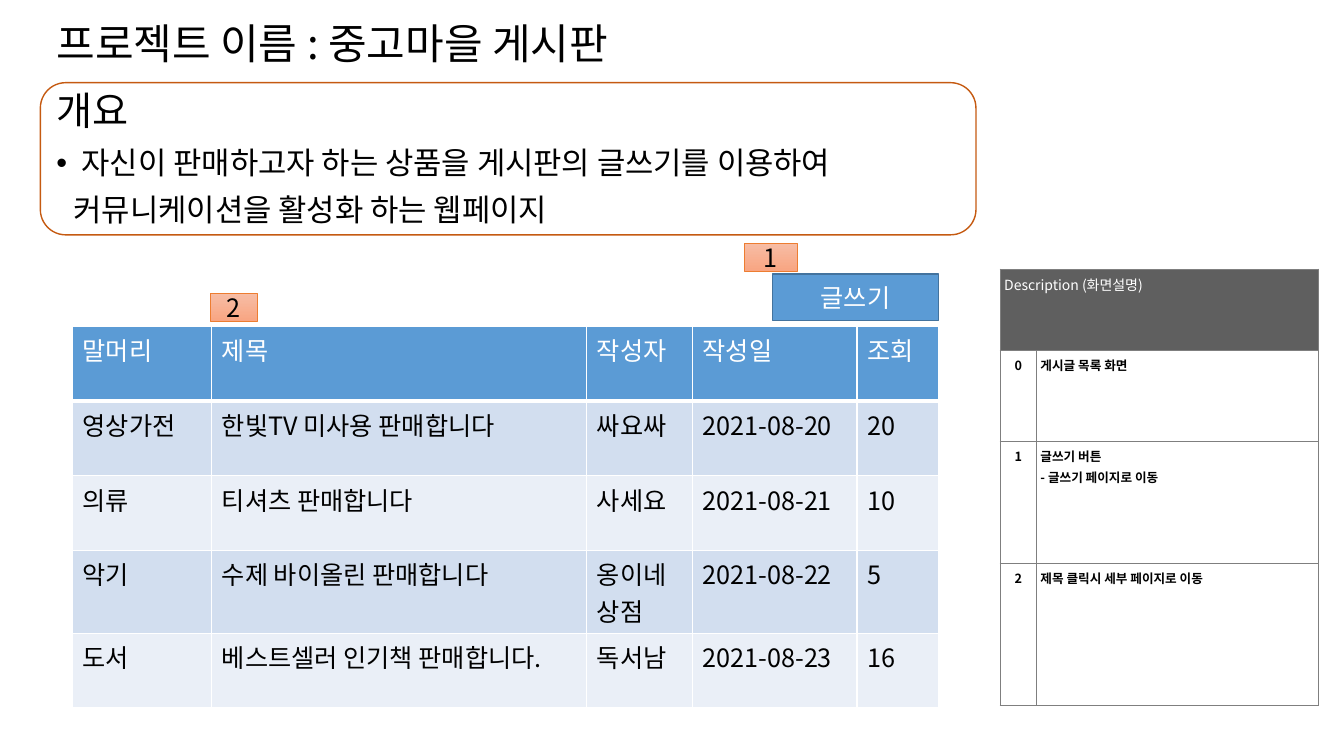
from pptx import Presentation
from pptx import util as u
from pptx.dml.color import RGBColor
from pptx.enum import shapes, text
from pptx.oxml import ns
from lxml import etree

COLORS = {
    "black": "000000", "white": "FFFFFF", "outline": "C55A11",
    "blue": "5B9BD5", "blue_line": "43739E",
    "band_dark": "D2DEEF", "band_light": "EAEFF7",
    "badge_top": "F7BDA5", "badge_bottom": "F8A582", "badge_line": "ED7D31",
    "gray": "5F5F5F", "gray_line": "7F7F7F",
}
LEFT, CENTER = text.PP_ALIGN.LEFT, text.PP_ALIGN.CENTER


def color(name):
    return RGBColor.from_string(COLORS[name])


class SlideBuilder:
    """Holds the style and the current slide."""

    font_name = "Noto Sans CJK KR"

    def __init__(self, page):
        self.page = page

    def style(self, para, size, ink="black", align=LEFT, bold=False):
        para.alignment = align
        para.font.name = self.font_name
        para.font.size = u.Pt(size)
        para.font.bold = bold
        para.font.color.rgb = color(ink)
        # Hangul uses the East Asian typeface
        props = para._p.pPr.find(ns.qn("a:defRPr"))
        latin = props.find(ns.qn("a:latin"))
        east = etree.Element(ns.qn("a:ea"), typeface=self.font_name)
        latin.addnext(east)

    def bullet(self, para, indent=0, hanging=0, mark=None):
        props = para._p.get_or_add_pPr()
        props.set("marL", str(u.Inches(indent)))
        props.set("indent", str(-u.Inches(hanging)))
        tag = "a:buChar" if mark else "a:buNone"
        item = etree.Element(ns.qn(tag))
        if mark:
            item.set("char", mark)
        props.find(ns.qn("a:defRPr")).addprevious(item)

    def placeholder(self, index, left, top, width, height):
        box = self.page.placeholders[index]
        box.left, box.top = u.Inches(left), u.Inches(top)
        box.width, box.height = u.Inches(width), u.Inches(height)
        box.text_frame.auto_size = text.MSO_AUTO_SIZE.NONE
        box.text_frame.vertical_anchor = text.MSO_ANCHOR.TOP
        return box.text_frame

    def title(self, words, *place):
        para = self.placeholder(0, *place).paragraphs[0]
        para.text = words
        para.line_spacing = 0.9
        self.style(para, 30)

    def body(self, lines, *place):
        frame = self.placeholder(1, *place)
        frame.text = "\n".join(words for words, _, _ in lines)
        for para, (_, size, bullet) in zip(frame.paragraphs, lines):
            para.line_spacing, para.space_before = 0.9, u.Pt(10)
            self.style(para, size)
            self.bullet(para, **bullet)

    def shape(self, kind, left, top, width, height, line, weight=1):
        box = self.page.shapes.add_shape(
            kind, u.Inches(left), u.Inches(top), u.Inches(width), u.Inches(height))
        box.shadow.inherit = False
        box.fill.background()
        box.line.color.rgb = color(line)
        box.line.width = u.Pt(weight)
        return box

    def label(self, box, words, ink):
        frame = box.text_frame
        frame.text = words
        frame.vertical_anchor = text.MSO_ANCHOR.MIDDLE
        self.style(frame.paragraphs[0], 18, ink, CENTER)

    def button(self, words, *place):
        box = self.shape(shapes.MSO_SHAPE.RECTANGLE, *place, "blue_line")
        box.fill.solid()
        box.fill.fore_color.rgb = color("blue")
        self.label(box, words, "white")

    def badge(self, words, *place):
        box = self.shape(shapes.MSO_SHAPE.RECTANGLE, *place, "badge_line", 0.5)
        box.fill.gradient()
        box.fill.gradient_angle = 270
        for stop, name in zip(box.fill.gradient_stops, ("badge_top", "badge_bottom")):
            stop.color.rgb = color(name)
        self.label(box, words, "black")

    def table(self, left, top, widths, heights):
        grid = self.page.shapes.add_table(
            len(heights), len(widths), u.Inches(left), u.Inches(top),
            u.Inches(sum(widths)), u.Inches(sum(heights))).table
        grid.first_row = grid.horz_banding = False
        for column, width in zip(grid.columns, widths):
            column.width = u.Inches(width)
        for row, height in zip(grid.rows, heights):
            row.height = u.Inches(height)
        return grid

    def cell(self, cell, words, size, ink, fill, border, align=LEFT, bold=False, **weights):
        cell.text = words
        for number, para in enumerate(cell.text_frame.paragraphs):
            self.style(para, size, ink, align, bold)
            para.space_before = u.Pt(2 if number else 0)
        props = cell._tc.get_or_add_tcPr()
        for side in "LRTB":
            width = u.Pt(weights.get(side, 1))
            line = etree.SubElement(props, ns.qn("a:ln" + side), w=str(width))
            solid = etree.SubElement(line, ns.qn("a:solidFill"))
            etree.SubElement(solid, ns.qn("a:srgbClr"), val=COLORS[border])
        cell.fill.solid()
        cell.fill.fore_color.rgb = color(fill)


deck = Presentation()
deck.slide_width, deck.slide_height = u.Inches(13.33), u.Inches(7.5)
slide = SlideBuilder(deck.slides.add_slide(deck.slide_layouts[1]))

# Project title and overview
slide.shape(shapes.MSO_SHAPE.ROUNDED_RECTANGLE, 0.4, 0.82, 9.28, 1.51, "outline")
slide.title("프로젝트 이름 : 중고마을 게시판", 0.46, 0.18, 11.5, 1.45)
slide.body([
    ("개요", 28, {}),
    ("자신이 판매하고자 하는 상품을 게시판의 글쓰기를 이용하여", 22,
     {"indent": 0.25, "hanging": 0.25, "mark": "•"}),
    ("커뮤니케이션을 활성화 하는 웹페이지", 22, {"indent": 0.17}),
], 0.46, 0.86, 11.5, 4.76)

# Write button and numbered markers
slide.button("글쓰기", 7.66, 2.72, 1.65, 0.46)
slide.badge("1", 7.38, 2.41, 0.53, 0.28)
slide.badge("2", 2.09, 2.91, 0.46, 0.28)

# Post list
posts = [
    ("말머리", "제목", "작성자", "작성일", "조회"),
    ("영상가전", "한빛TV 미사용 판매합니다", "싸요싸", "2021-08-20", "20"),
    ("의류", "티셔츠 판매합니다", "사세요", "2021-08-21", "10"),
    ("악기", "수제 바이올린 판매합니다", "옹이네 상점", "2021-08-22", "5"),
    ("도서", "베스트셀러 인기책 판매합니다.", "독서남", "2021-08-23", "16"),
]
post_list = slide.table(0.72, 3.24, [1.38, 3.72, 1.05, 1.63, 0.81], [0.74] * len(posts))
for r, post in enumerate(posts):
    band = "band_dark" if r % 2 else "band_light"
    ink, fill = ("black", band) if r else ("white", "blue")
    weights = {0: {"B": 3}, 1: {"T": 3}}.get(r, {})
    for c, words in enumerate(post):
        slide.cell(post_list.cell(r, c), words, 18, ink, fill, "white", **weights)

# Screen description
notes = ["게시글 목록 화면", "글쓰기 버튼\n- 글쓰기 페이지로 이동", "제목 클릭시 세부 페이지로 이동"]
description = slide.table(9.92, 2.67, [0.36, 2.8], [0.81, 0.9, 1.21, 1.41])
header = description.cell(0, 0)
header.merge(description.cell(0, 1))
slide.cell(header, "Description (화면설명)", 10, "white", "gray", "gray_line")
for r, note in enumerate(notes):
    for c, (words, align) in enumerate([(str(r), CENTER), (note, LEFT)]):
        slide.cell(description.cell(r + 1, c), words, 9, "black", "white",
                   "gray_line", align, bold=True)
for cell in description.iter_cells():
    cell.margin_left = cell.margin_right = u.Inches(0.04)

deck.save("out.pptx")
